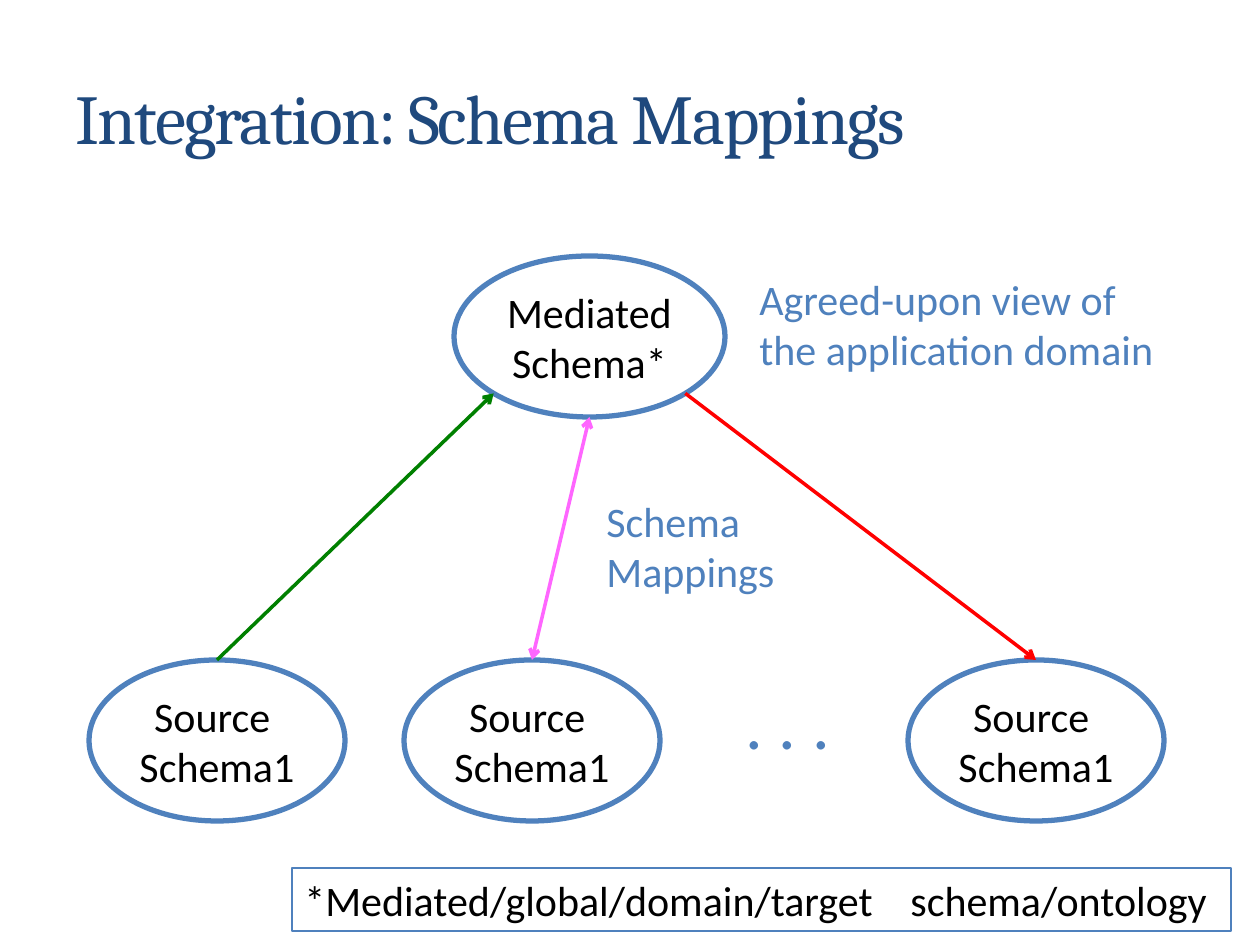
from dataclasses import dataclass
from math import sqrt

from lxml.etree import SubElement
from pptx import Presentation
from pptx.dml.color import RGBColor
from pptx.enum.shapes import MSO_CONNECTOR, MSO_SHAPE
from pptx.enum.text import MSO_ANCHOR, PP_ALIGN
from pptx.oxml.ns import qn
from pptx.util import Pt

EMU_PER_PX = 914400 / 126
COLORS = {
    "title": "1F497D",
    "accent": "4F81BD",
    "text": "000000",
    "paper": "FFFFFF",
    "to_mediated": "008000",
    "both_ways": "FF66FF",
    "to_source": "FF0000",
}


def px(length: float) -> int:
    return round(length * EMU_PER_PX)


def rgb(name: str) -> RGBColor:
    return RGBColor.from_string(COLORS[name])


@dataclass
class Schema:
    lines: list[str]
    left: int
    top: int
    width: int
    height: int = 161

    def rim(self, across: float, down: float) -> tuple[float, float]:
        """Point on the outline, in units of the half axes from the centre."""
        return (self.left + self.width / 2 * (1 + across),
                self.top + self.height / 2 * (1 + down))


@dataclass
class Mapping:
    start: tuple[float, float]
    end: tuple[float, float]
    color: str
    both_ways: bool = False


@dataclass
class Label:
    lines: list[str]
    left: int
    top: int
    width: int
    height: int
    size: int = 24
    color: str = "accent"
    font: str = "Calibri"
    wrap: bool = False
    anchor: MSO_ANCHOR = MSO_ANCHOR.TOP


def write(frame, lines: list[str], size: int, color: str, font: str = "Calibri",
          align: PP_ALIGN = PP_ALIGN.LEFT) -> None:
    for index, line in enumerate(lines):
        paragraph = frame.add_paragraph() if index else frame.paragraphs[0]
        paragraph.text = line
        paragraph.alignment = align
        paragraph.font.size = Pt(size)
        paragraph.font.name = font
        paragraph.font.color.rgb = rgb(color)


def draw_schema(slide, schema: Schema) -> None:
    ellipse = slide.shapes.add_shape(
        MSO_SHAPE.OVAL, px(schema.left), px(schema.top), px(schema.width), px(schema.height))
    ellipse.shadow.inherit = False
    ellipse.fill.solid()
    ellipse.fill.fore_color.rgb = rgb("paper")
    ellipse.line.color.rgb = rgb("accent")
    ellipse.line.width = Pt(3)
    ellipse.text_frame.word_wrap = False
    ellipse.text_frame.vertical_anchor = MSO_ANCHOR.MIDDLE
    write(ellipse.text_frame, schema.lines, 24, "text", align=PP_ALIGN.CENTER)


def draw_mapping(slide, mapping: Mapping) -> None:
    arrow = slide.shapes.add_connector(
        MSO_CONNECTOR.STRAIGHT, *map(px, mapping.start + mapping.end))
    arrow.line.color.rgb = rgb(mapping.color)
    arrow.line.width = Pt(2)
    outline = arrow.line._get_or_add_ln()
    for end in ["headEnd", "tailEnd"] if mapping.both_ways else ["tailEnd"]:
        SubElement(outline, qn(f"a:{end}"), type="arrow")
    SubElement(arrow._element.spPr, qn("a:effectLst"))


def draw_label(slide, label: Label):
    box = slide.shapes.add_textbox(
        px(label.left), px(label.top), px(label.width), px(label.height))
    box.text_frame.word_wrap = label.wrap
    box.text_frame.vertical_anchor = label.anchor
    write(box.text_frame, label.lines, label.size, label.color, label.font)
    return box


def style_title(title) -> None:
    """Tighten the letters and cast a soft shadow behind them."""
    run = title.text_frame.paragraphs[0].runs[0]
    properties = run._r.get_or_add_rPr()
    properties.set("spc", "-100")
    effects = SubElement(properties, qn("a:effectLst"))
    shadow = SubElement(effects, qn("a:outerShdw"), blurRad="50800", dist="50800",
                        dir="2700000", algn="tl", rotWithShape="0")
    shade = SubElement(shadow, qn("a:srgbClr"), val=COLORS["text"])
    SubElement(shade, qn("a:alpha"), val="40000")


def style_footnote(footnote, tab: int) -> None:
    footnote.line.color.rgb = rgb("accent")
    footnote.line.width = Pt(0.75)
    properties = footnote.text_frame.paragraphs[0]._p.get_or_add_pPr()
    stops = properties.makeelement(qn("a:tabLst"))
    properties.insert(0, stops)
    SubElement(stops, qn("a:tab"), pos=str(px(tab)), algn="l")


def main() -> None:
    deck = Presentation()
    deck.slide_width, deck.slide_height = px(1260), px(945)
    slide = deck.slides.add_slide(deck.slide_layouts[6])

    title = draw_label(slide, Label(
        ["Integration: Schema Mappings"], 63, 38, 1135, 158, size=40, color="title",
        font="Cambria", wrap=True, anchor=MSO_ANCHOR.MIDDLE))
    style_title(title)

    mediated = Schema(["Mediated", "Schema*"], 454, 256, 271)
    sources = [Schema(["Source ", "Schema1"], left, 660, 256) for left in (89, 404, 908)]
    for schema in [mediated, *sources]:
        draw_schema(slide, schema)

    diagonal = 1 / sqrt(2)
    first, second, last = (source.rim(0, -1) for source in sources)
    for mapping in [
        Mapping(first, mediated.rim(-diagonal, diagonal), "to_mediated"),
        Mapping(mediated.rim(0, 1), second, "both_ways", both_ways=True),
        Mapping(mediated.rim(diagonal, diagonal), last, "to_source"),
    ]:
        draw_mapping(slide, mapping)

    for label in [
        Label(["Schema", "Mappings"], 594, 489, 195, 115),
        Label([". . ."], 733, 673, 111, 97, size=40),
        Label(["Agreed-upon view of the application domain"], 747, 267, 444, 115, wrap=True),
    ]:
        draw_label(slide, label)

    footnote = draw_label(slide, Label(
        ["*Mediated/global/domain/target\tschema/ontology"], 292, 868, 939, 63,
        color="text", wrap=True))
    style_footnote(footnote, tab=606)

    deck.save("out.pptx")


if __name__ == "__main__":
    main()
